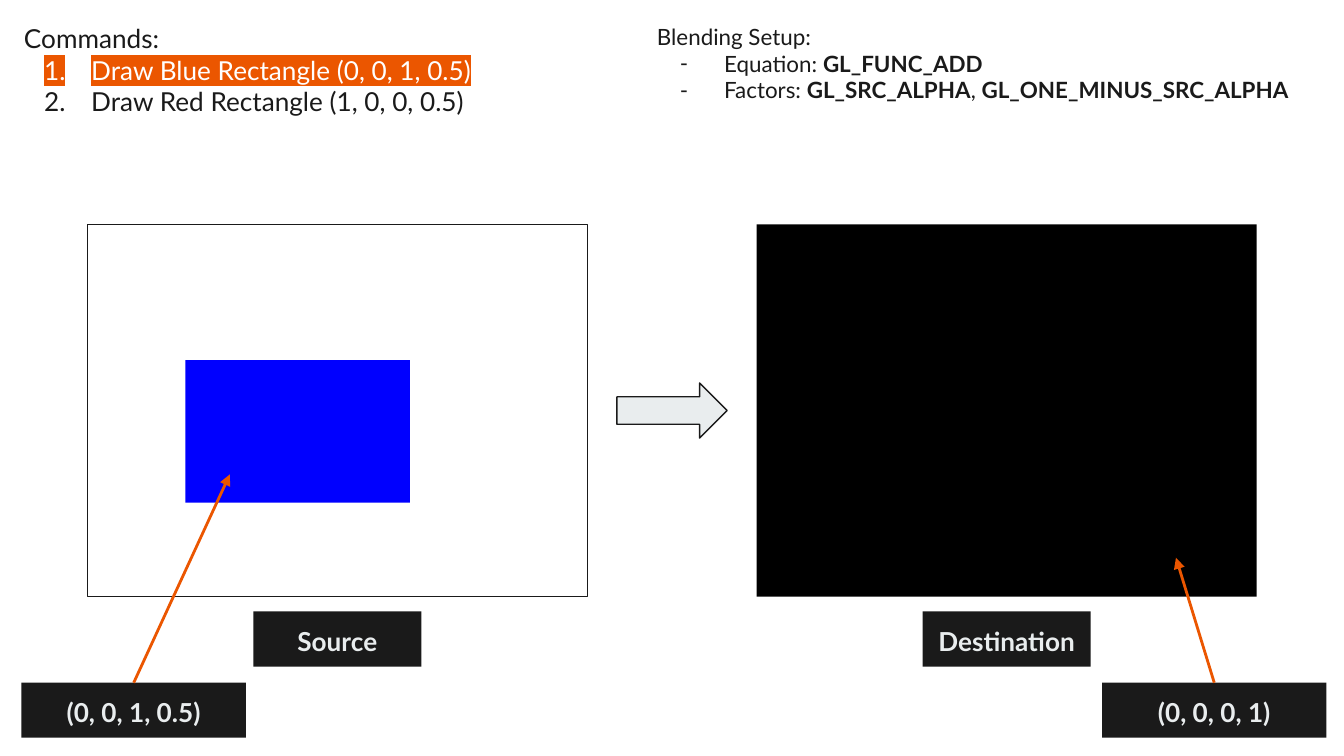
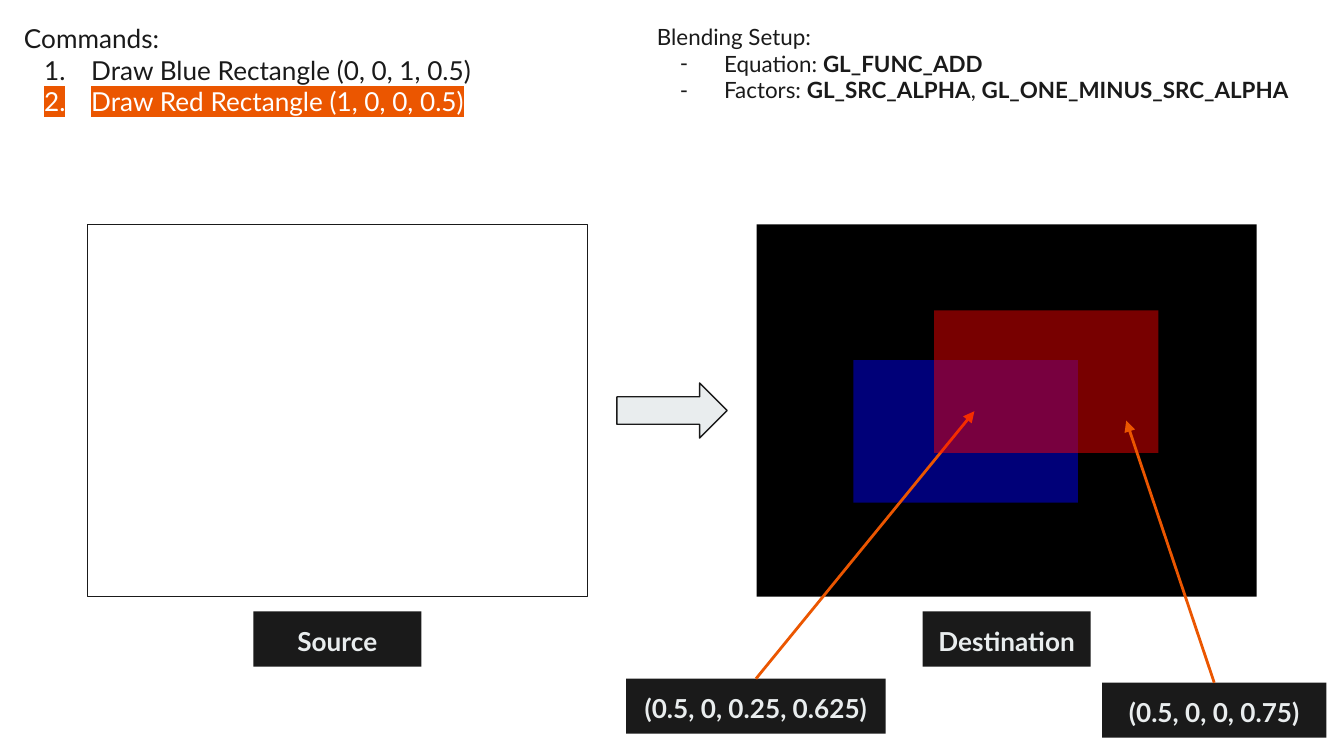
from dataclasses import dataclass

from lxml import etree
from pptx import Presentation
from pptx.dml.color import RGBColor
from pptx.enum import shapes, text
from pptx.oxml import ns
from pptx.util import Inches, Pt


@dataclass(frozen=True)
class Theme:
    font: str = "Lato"
    ink: str = "1A1A1A"
    pale: str = "E9EDEE"
    white: str = "FFFFFF"
    accent: str = "EB5600"
    black: str = "000000"
    blue: str = "0000FF"
    red: str = "FF0000"
    body: int = 14
    small: int = 12
    outline: float = 0.75
    pointer: float = 1.5


theme = Theme()


def write_text(shape, paragraphs, size=theme.body, color=theme.ink, centred=False,
               bullet=None, hanging=0.35, active=None):
    """Fill a shape; **marks** give bold, paragraphs after the first get the bullet."""
    frame = shape.text_frame
    frame.word_wrap = True
    frame.margin_left = frame.margin_right = Inches(0.1)
    frame.margin_top = frame.margin_bottom = Inches(0.1)
    frame.vertical_anchor = text.MSO_ANCHOR.TOP
    for index, line in enumerate(paragraphs):
        paragraph = frame.paragraphs[0] if index == 0 else frame.add_paragraph()
        paragraph.alignment = text.PP_ALIGN.CENTER if centred else text.PP_ALIGN.LEFT
        line_color = theme.white if index == active else color
        if bullet and index:
            props = paragraph._p.get_or_add_pPr()
            props.set("marL", str(Inches(0.5)))
            props.set("indent", str(-Inches(hanging)))
            bullet_color = etree.SubElement(props, ns.qn("a:buClr"))
            etree.SubElement(bullet_color, ns.qn("a:srgbClr"), val=line_color)
            etree.SubElement(props, ns.qn("a:buFont"), typeface=theme.font)
            if bullet == "1.":
                etree.SubElement(props, ns.qn("a:buAutoNum"), type="arabicPeriod")
            else:
                etree.SubElement(props, ns.qn("a:buChar"), char=bullet)
        for position, words in enumerate(line.split("**")):
            if not words:
                continue
            run = paragraph.add_run()
            run.text = words
            run.font.name = theme.font
            run.font.size = Pt(size)
            run.font.bold = position % 2 == 1
            run.font.color.rgb = RGBColor.from_string(line_color)
            if index == active:
                highlight = etree.Element(ns.qn("a:highlight"))
                etree.SubElement(highlight, ns.qn("a:srgbClr"), val=theme.accent)
                run._r.rPr.find(ns.qn("a:solidFill")).addnext(highlight)


def add_block(slide, box, fill=None, line=None, alpha=None, label=None,
              kind=shapes.MSO_SHAPE.RECTANGLE):
    block = slide.shapes.add_shape(kind, *map(Inches, box))
    block.shadow.inherit = False
    if fill:
        block.fill.solid()
        block.fill.fore_color.rgb = RGBColor.from_string(fill)
    else:
        block.fill.background()
    if alpha:
        tint = block.fill._xPr.find(ns.qn("a:solidFill"))[0]
        etree.SubElement(tint, ns.qn("a:alpha"), val=str(alpha * 1000))
    if line:
        block.line.color.rgb = RGBColor.from_string(line)
        block.line.width = Pt(theme.outline)
    else:
        block.line.fill.background()
    if label:
        write_text(block, [f"**{label}**"], color=theme.pale, centred=True)
    return block


# Shared content and geometry
commands = ["Commands:", "Draw Blue Rectangle (0, 0, 1, 0.5)",
            "Draw Red Rectangle (1, 0, 0, 0.5)"]
blending = ["Blending Setup:", "Equation: **GL_FUNC_ADD**",
            "Factors: **GL_SRC_ALPHA**, **GL_ONE_MINUS_SRC_ALPHA**"]
buffers = [("Destination", 5.63, theme.black, None), ("Source", 0.65, None, theme.ink)]
buffer_top, buffer_width, buffer_height = 1.67, 3.72, 2.77
name_width, tag_height = 1.25, 0.41
patch_size = (1.67, 1.06)

# Layers from back to front:
#   ("patch", left, top, colour, opacity)
#   ("callout", value, left, top, width, arrow tip)
steps = [
    [("patch", 1.38, 2.68, theme.blue, None),
     ("callout", "(0, 0, 0, 1)", 8.2, 5.08, 1.67, (8.75, 4.15)),
     ("callout", "(0, 0, 1, 0.5)", 0.16, 5.08, 1.67, (1.71, 3.53))],
    [("patch", 6.35, 2.68, theme.blue, 47),
     ("callout", "(0.5, 0, 0.25, 0.625)", 4.66, 5.05, 1.93, (7.25, 3.06)),
     ("patch", 6.95, 2.31, theme.red, 47),
     ("callout", "(0.5, 0, 0, 0.75)", 8.2, 5.08, 1.67, (8.38, 3.13))],
]

# Widescreen 16:9 deck
deck = Presentation()
deck.slide_width = Inches(10)
deck.slide_height = Inches(10 * 9 / 16)

for active_command, layers in enumerate(steps, start=1):
    slide = deck.slides.add_slide(deck.slide_layouts[6])

    # Source and destination buffers with their names
    for name, left, fill, line in buffers:
        add_block(slide, (left, buffer_top, buffer_width, buffer_height), fill, line)
        name_left = left + (buffer_width - name_width) / 2
        add_block(slide, (name_left, 4.55, name_width, tag_height), theme.ink, label=name)

    # Command list and blending setup
    command_list = slide.shapes.add_textbox(*map(Inches, (0.08, 0.07, 3.68, 1.06)))
    write_text(command_list, commands, bullet="1.", active=active_command)
    blending_setup = slide.shapes.add_textbox(*map(Inches, (4.79, 0.07, 4.94, 0.82)))
    write_text(blending_setup, blending, size=theme.small, bullet="-", hanging=0.33)

    # Arrow from source to destination
    add_block(slide, (4.59, 2.85, 0.82, 0.41), theme.pale, theme.ink,
              kind=shapes.MSO_SHAPE.RIGHT_ARROW)

    # Drawn rectangles and pixel values
    for layer, *details in layers:
        if layer == "patch":
            left, top, color, opacity = details
            add_block(slide, (left, top, *patch_size), color, alpha=opacity)
            continue
        value, left, top, width, tip = details
        callout = add_block(slide, (left, top, width, tag_height), theme.ink, label=value)
        pointer = slide.shapes.add_connector(
            shapes.MSO_CONNECTOR.STRAIGHT, Inches(left + width / 2), Inches(top),
            *map(Inches, tip))
        pointer.begin_connect(callout, 0)
        pointer.line.color.rgb = RGBColor.from_string(theme.accent)
        pointer.line.width = Pt(theme.pointer)
        etree.SubElement(pointer.line._get_or_add_ln(), ns.qn("a:tailEnd"), type="triangle")
        etree.SubElement(pointer._element.spPr, ns.qn("a:effectLst"))

deck.save("out.pptx")
